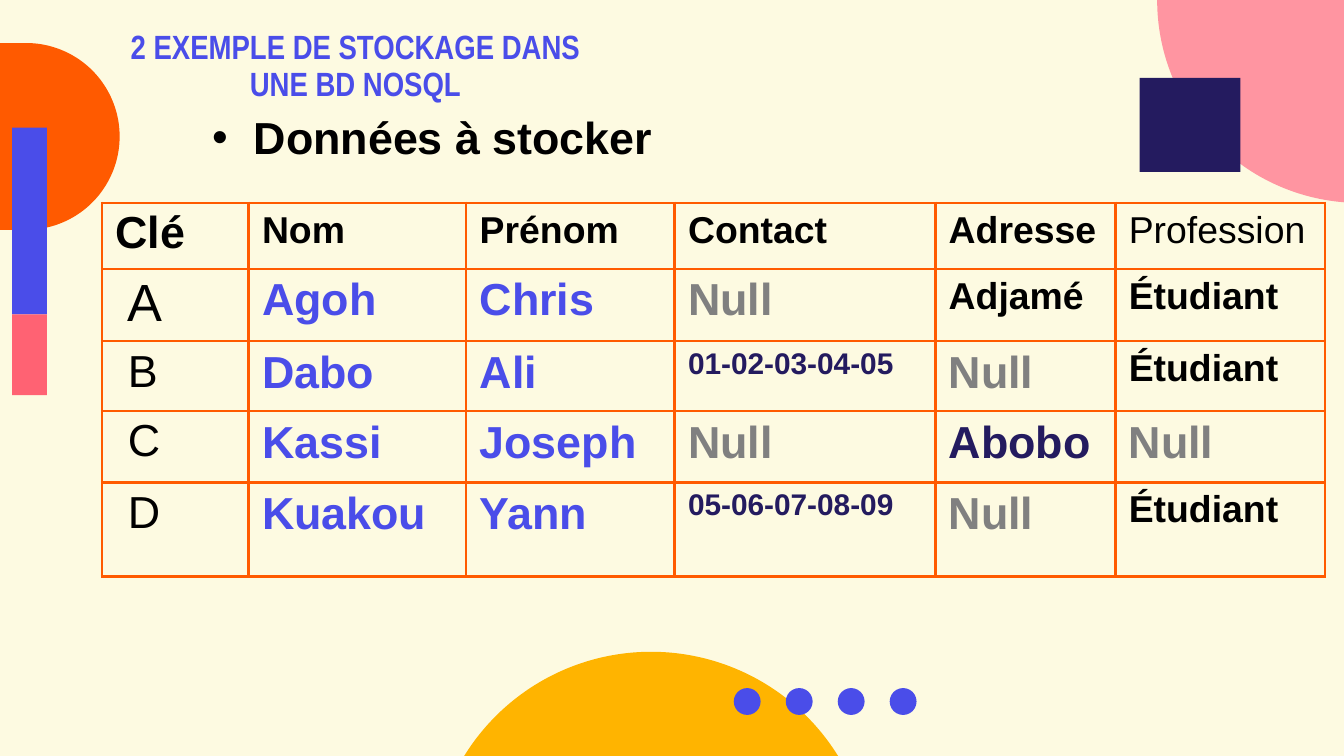
"""Build the slide that shows sample data to store in a NoSQL database."""
from lxml import etree
from pptx import Presentation
from pptx.dml.color import RGBColor
from pptx.enum.shapes import MSO_SHAPE
from pptx.enum.text import PP_ALIGN
from pptx.oxml.ns import qn
from pptx.util import Inches, Pt

CREAM = RGBColor(0xFD, 0xFA, 0xE1)
BLUE = RGBColor(0x4A, 0x4D, 0xE9)
ORANGE = RGBColor(0xFF, 0x5A, 0x00)
CORAL = RGBColor(0xFF, 0x62, 0x73)
PINK = RGBColor(0xFF, 0x95, 0xA1)
YELLOW = RGBColor(0xFF, 0xB4, 0x00)
NAVY = RGBColor(0x24, 0x1B, 0x5F)
GRAY = RGBColor(0x80, 0x80, 0x80)
BLACK = RGBColor(0x00, 0x00, 0x00)
RECT, OVAL = MSO_SHAPE.RECTANGLE, MSO_SHAPE.OVAL
DELAY, DONUT = MSO_SHAPE.FLOWCHART_DELAY, MSO_SHAPE.DONUT
CENTER = PP_ALIGN.CENTER


def write(frame, text, size=24, color=BLACK, bold=True, font="Arial"):
    para = frame.paragraphs[0]
    run = para.add_run()
    run.text = text
    run.font.name = font
    run.font.size = Pt(size)
    run.font.bold = bold
    run.font.color.rgb = color
    return para


prs = Presentation()
prs.slide_width = Inches(10)
prs.slide_height = prs.slide_width * 9 // 16
slide = prs.slides.add_slide(prs.slide_layouts[6])
slide.background.fill.solid()
slide.background.fill.fore_color.rgb = CREAM

title = slide.shapes.add_textbox(Inches(0.76), Inches(0.18), Inches(3.77), Inches(0.39))
title.text_frame.word_wrap = True
para = write(title.text_frame, "2 EXEMPLE DE STOCKAGE DANS UNE BD NOSQL",
             size=18, color=BLUE, font="Arial Narrow")
para.alignment = CENTER
para.line_spacing = 0.9

decor = [
    (DELAY, -0.5, 0.32, 1.39, 1.39, ORANGE),
    (RECT, 0.09, 0.95, 0.26, 1.39, BLUE),
    (RECT, 0.09, 2.34, 0.26, 0.6, CORAL),
    (OVAL, 8.61, -1.51, 3.02, 3.02, PINK),
    (DONUT, 3.21, 4.85, 3.27, 3.27, YELLOW),
]
decor += [(OVAL, 5.46 + 1.16 * i / 3, 5.12, 0.2, 0.2, BLUE) for i in range(4)]
decor.append((RECT, 8.48, 0.58, 0.75, 0.7, NAVY))
for kind, left, top, width, height, color in decor:
    shape = slide.shapes.add_shape(kind, Inches(left), Inches(top), Inches(width), Inches(height))
    shape.shadow.inherit = False
    shape.fill.solid()
    shape.fill.fore_color.rgb = color
    shape.line.fill.background()

KEY = {"bold": False}
NAME = {"color": BLUE}
NULL = {"color": GRAY}
MID = {"size": 20}
PHONE = {"size": 16, "color": NAVY}
rows = [
    [("Clé", {}), ("Nom", MID), ("Prénom", MID), ("Contact", MID), ("Adresse", MID),
     ("Profession", {"size": 20, "bold": False})],
    [(" A", {"size": 28, "bold": False}), ("Agoh", NAME), ("Chris", NAME), ("Null", NULL),
     ("Adjamé", MID), ("Étudiant", MID)],
    [(" B", KEY), ("Dabo", NAME), ("Ali", NAME), ("01-02-03-04-05", PHONE),
     ("Null", NULL), ("Étudiant", MID)],
    [(" C", KEY), ("Kassi", NAME), ("Joseph", NAME), ("Null", NULL),
     ("Abobo", {"color": NAVY}), ("Null", NULL)],
    [(" D", KEY), ("Kuakou", NAME), ("Yann", NAME), ("05-06-07-08-09", PHONE),
     ("Null", NULL), ("Étudiant", MID)],
]
widths = [1.09, 1.62, 1.55, 1.94, 1.34, 1.56]
heights = [0.49, 0.54, 0.52, 0.53, 0.7]
table = slide.shapes.add_table(len(rows), len(widths), Inches(0.76), Inches(1.51),
                               Inches(sum(widths)), Inches(sum(heights))).table
for col, width in zip(table.columns, widths):
    col.width = Inches(width)
for row, height in zip(table.rows, heights):
    row.height = Inches(height)
for r, items in enumerate(rows):
    for c, (text, style) in enumerate(items):
        cell = table.cell(r, c)
        write(cell.text_frame, text, **style)
        if c == 0:
            cell.margin_top, cell.margin_bottom = Inches(0.04), Inches(0.03)
        props = cell._tc.get_or_add_tcPr()
        for side in ("lnL", "lnR", "lnT", "lnB"):
            line = etree.SubElement(props, qn(f"a:{side}"), w=str(Pt(1.5)))
            fill = etree.SubElement(line, qn("a:solidFill"))
            etree.SubElement(fill, qn("a:srgbClr"), val=str(ORANGE))
        cell.fill.background()

topic = slide.shapes.add_textbox(Inches(1.48), Inches(0.77), Inches(3.6), Inches(0.5))
topic.text_frame.word_wrap = False
para = write(topic.text_frame, "Données à stocker")
props = para._p.get_or_add_pPr()
props.set("marL", str(Inches(0.31)))
props.set("indent", str(Inches(-0.31)))
etree.SubElement(props, qn("a:buFont"), typeface="Arial")
etree.SubElement(props, qn("a:buChar"), char="•")

prs.save("out.pptx")
